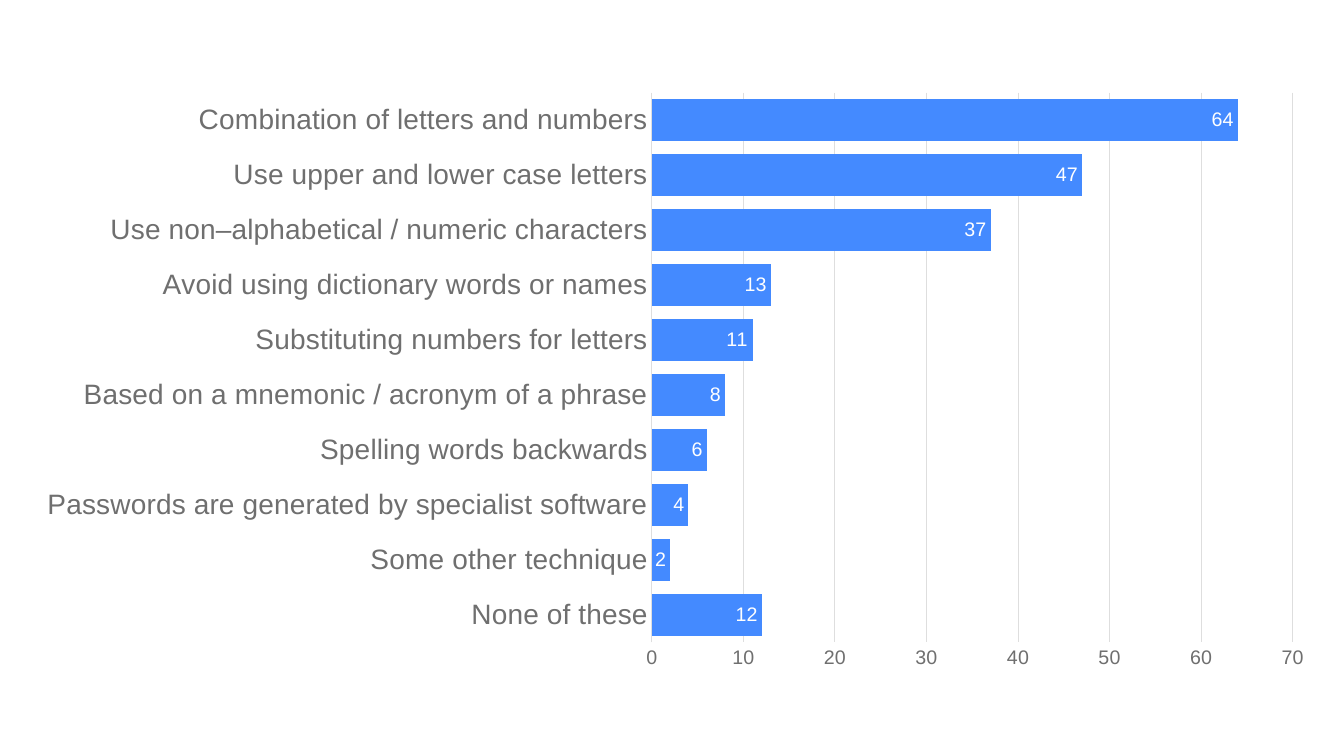
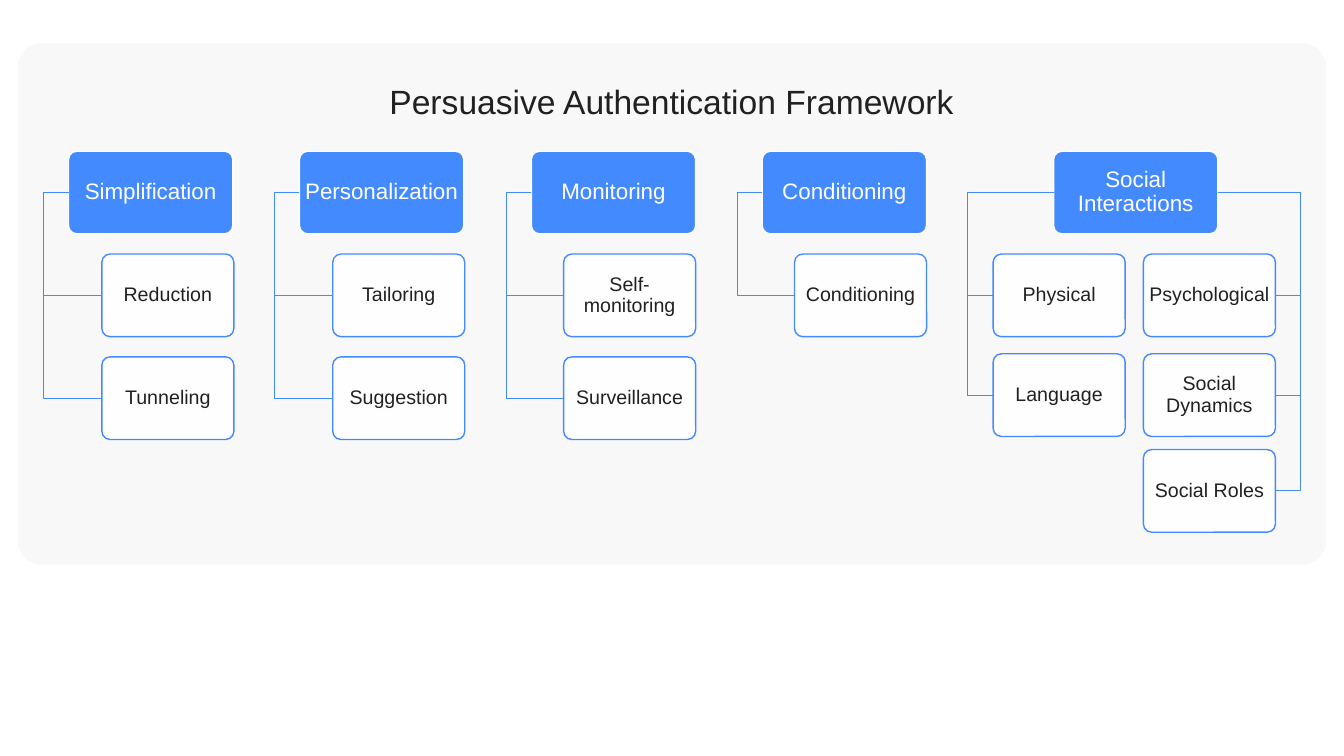
from lxml import etree
from pptx import Presentation
from pptx import util as u
from pptx.chart.data import CategoryChartData
from pptx.dml.color import RGBColor
from pptx.enum import chart as ch, shapes as sh, text as tx
from pptx.oxml import parse_xml
from pptx.oxml.ns import nsdecls, qn

PX = 9144  # 100 px to the inch
FONT = "Arial"
HEX = {"blue": "448AFF", "white": "FFFFFF", "panel": "F8F8F8",
       "ink": "212121", "label": "6F6F6F", "grid": "DEDEDE"}

# Bars, from bottom to top
BARS = [
    ("None of these", 12),
    ("Some other technique", 2),
    ("Passwords are generated by specialist software", 4),
    ("Spelling words backwards", 6),
    ("Based on a mnemonic / acronym of a phrase", 8),
    ("Substituting numbers for letters", 11),
    ("Avoid using dictionary words or names", 13),
    ("Use non–alphabetical / numeric characters", 37),
    ("Use upper and lower case letters", 47),
    ("Combination of letters and numbers", 64),
]
CHART = (24, 80, 1297, 593)
PLOT = {"x": 0.48, "y": 0.02, "w": 0.49, "h": 0.92}  # share of the chart

# Framework: head, its left edge, then branches of (side, left edge, boxes)
TITLE = "Persuasive Authentication Framework"
ROWS = (252, 354)
TIGHT = (252, 351, 446)  # rows of the last, taller group
TREE = [
    ("Simplification", 68, ROWS, [("in", 101, ["Reduction", "Tunneling"])]),
    ("Personalization", 297, ROWS, [("in", 330, ["Tailoring", "Suggestion"])]),
    ("Monitoring", 527, ROWS, [("in", 559, ["Self-monitoring", "Surveillance"])]),
    ("Conditioning", 756, ROWS, [("in", 788, ["Conditioning"])]),
    ("Social Interactions", 1045, TIGHT, [
        ("left", 985, ["Physical", "Language"]),
        ("right", 1134, ["Psychological", "Social Dynamics", "Social Roles"])]),
]
PANEL = (18, 43, 1297, 517)
HEAD_Y, HEAD_W, BOX_W, BOX_H, REACH = 150, 163, 131, 82, 25


def px(*nums):
    return [u.Emu(round(n * PX)) for n in nums]


def rgb(name):
    return RGBColor.from_string(HEX[name])


def style(font, size, color):
    font.name, font.size = FONT, u.Pt(size)
    font.color.rgb = rgb(color)


def write(shape, words, size, color):
    para = shape.text_frame.paragraphs[0]
    para.alignment = tx.PP_ALIGN.CENTER
    run = para.add_run()
    run.text = words
    style(run.font, size, color)
    return para


def card(slide, at, round_by, fill, line=None):
    shape = slide.shapes.add_shape(sh.MSO_SHAPE.ROUNDED_RECTANGLE, *px(*at))
    shape.shadow.inherit = False
    shape.adjustments[0] = round_by
    shape.fill.solid()
    shape.fill.fore_color.rgb = rgb(fill)
    if line:
        shape.line.color.rgb = rgb(line)
        shape.line.width = u.Pt(1)
    else:
        shape.line.fill.background()
    return shape


def node(slide, x, y, wide, words, size, fill, line, ink):
    shape = card(slide, (x, y, wide, BOX_H), 0.1, fill, line)
    frame = shape.text_frame
    frame.word_wrap = True
    frame.vertical_anchor = tx.MSO_ANCHOR.MIDDLE
    frame.margin_left = frame.margin_right = px(3)[0]
    frame.margin_top = frame.margin_bottom = px(2)[0]
    write(shape, words, size, ink).line_spacing = 0.9
    return shape


def elbow(slide, x1, y1, x2, y2, trunk):
    """Bent line that runs down at x = trunk, outside its two ends."""
    link = slide.shapes.add_connector(sh.MSO_CONNECTOR.ELBOW, *px(x1, y1, x2, y2))
    link.line.color.rgb = rgb("blue")
    link.line.width = u.Pt(0.5)
    props = link._element.spPr
    etree.SubElement(props, qn("a:effectLst"))
    bend = round((trunk - x1) / (x2 - x1) * 100000)
    guides = props.find(qn("a:prstGeom")).get_or_add_avLst()
    etree.SubElement(guides, qn("a:gd"), name="adj1", fmla=f"val {bend}")


def draw_bars(slide):
    data = CategoryChartData()
    data.categories = [name for name, _ in BARS]
    data.add_series("Series 1", [val for _, val in BARS])
    chart = slide.shapes.add_chart(
        ch.XL_CHART_TYPE.BAR_CLUSTERED, *px(*CHART), data).chart
    chart.has_legend = chart.has_title = False
    style(chart.font, 10, "ink")

    # Bars and their values
    plot = chart.plots[0]
    plot.gap_width = 32
    plot.vary_by_categories = False
    fill = plot.series[0].format.fill
    fill.solid()
    fill.fore_color.rgb = rgb("blue")
    plot.has_data_labels = True
    marks = plot.data_labels
    marks.show_value = True
    marks.position = ch.XL_LABEL_POSITION.INSIDE_END
    style(marks.font, 14, "white")

    # Axes
    cat, val = chart.category_axis, chart.value_axis
    for axis, size in ((cat, 20), (val, 14)):
        axis.major_tick_mark = axis.minor_tick_mark = ch.XL_TICK_MARK.NONE
        style(axis.tick_labels.font, size, "label")
    cat.has_major_gridlines = False
    val.has_major_gridlines = True
    val.minimum_scale, val.maximum_scale, val.major_unit = 0, 70, 10
    val.format.line.fill.background()
    for line in (cat.format.line, val.major_gridlines.format.line):
        line.color.rgb = rgb("grid")
        line.width = u.Pt(0.75)

    # Fixed plot area, so that long names keep to one line
    area = chart._chartSpace.chart.plotArea
    for old in area.findall(qn("c:layout")):
        area.remove(old)
    modes = "".join(f'<c:{k}Mode val="edge"/>' for k in "xy")
    sizes = "".join(f'<c:{k} val="{v}"/>' for k, v in PLOT.items())
    area.insert(0, parse_xml(
        f'<c:layout {nsdecls("c")}><c:manualLayout><c:layoutTarget val="inner"/>'
        f'{modes}{sizes}</c:manualLayout></c:layout>'))


def draw_tree(slide):
    card(slide, PANEL, 0.043, "panel")
    for head, x, rows, sides in TREE:
        node(slide, x, HEAD_Y, HEAD_W, head, 16, "blue", "white", "white")
        for side, left, names in sides:
            # Lines leave the head and enter the boxes on the same side
            right = side == "right"
            start = x + HEAD_W if right else x
            end = left + BOX_W if right else left
            trunk = max(start, end) + REACH if right else min(start, end) - REACH
            for name, y in zip(names, rows):
                box = node(slide, left, y, BOX_W, name, 14, "white", "blue", "ink")
                tint = box._element.spPr.find(qn("a:solidFill"))[0]
                etree.SubElement(tint, qn("a:alpha"), val="90000")
                elbow(slide, start, HEAD_Y + BOX_H / 2, end, y + BOX_H / 2, trunk)

    # Title
    title = slide.shapes.add_textbox(*px(364, 75, 604, 50))
    title.text_frame.word_wrap = False
    write(title, TITLE, 24, "ink")


def main():
    deck = Presentation()
    deck.slide_width, deck.slide_height = px(1333, 750)
    for draw in (draw_bars, draw_tree):
        draw(deck.slides.add_slide(deck.slide_layouts[6]))
    deck.save("out.pptx")


if __name__ == "__main__":
    main()
